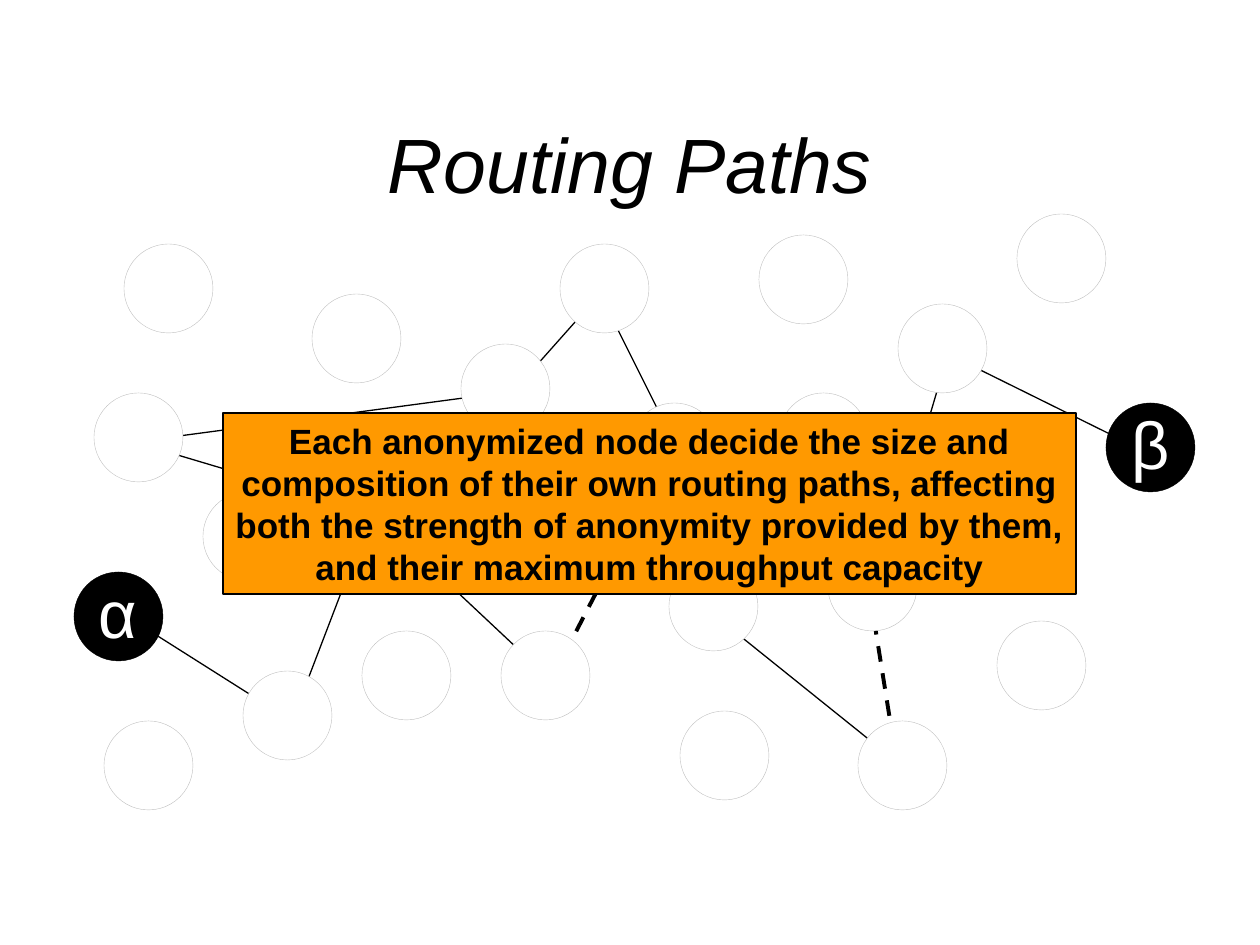
from itertools import pairwise
from lxml.etree import SubElement
from pptx import Presentation
from pptx.dml.color import RGBColor
from pptx.enum.dml import MSO_LINE
from pptx.enum.shapes import MSO_CONNECTOR as CONNECTOR, MSO_SHAPE as SHAPE
from pptx.enum.text import MSO_ANCHOR as ANCHOR, PP_ALIGN as ALIGN
from pptx.oxml.ns import qn
from pptx.util import Emu, Pt

# Content, with places in px
TITLE = "Routing Paths"
MESSAGE = ("Each anonymized node decide the size and composition of their own "
           "routing paths, affecting both the strength of anonymity provided by "
           "them, and their maximum throughput capacity")
NODE_SIZE = 89
NODES = [(124, 244), (362, 631), (104, 721), (203, 492), (94, 393), (312, 294),
         (1017, 214), (779, 393), (759, 235), (560, 244), (461, 344), (680, 711),
         (858, 721), (669, 562), (997, 621), (898, 304), (828, 542), (630, 403),
         (501, 631), (243, 671)]
ENDPOINTS = [("β", 1106, 403, 25), ("α", 74, 572, 24)]  # symbol, left, top, indent
SOLID = {"width": Pt(0.75)}
DASHED = {"width": Pt(2.25), "dash_style": MSO_LINE.DASH}
ROUTES = [
    (DASHED, [(898, 770), (868, 582)]),
    (SOLID, [(372, 513), (134, 442), (501, 393)]),
    (SOLID, [(512, 393), (600, 294), (679, 452), (709, 611), (907, 770)]),
    (SOLID, [(134, 621), (292, 721), (372, 512), (551, 680)]),
    (SOLID, [(878, 591), (948, 354), (1126, 442)]),
    (DASHED, [(551, 680), (669, 452)]),
]
TITLE_FONT = {"size": Pt(44), "italic": True}
SYMBOL_FONT = {"size": Pt(38)}
MESSAGE_FONT = {"size": Pt(20), "bold": True}


def px(*lengths):
    return [Emu(round(length * 914400 / 126)) for length in lengths]


def rgb(value):
    return RGBColor.from_string(value)


def apply(target, values):
    for name, value in values.items():
        setattr(target, name, value)


def add_outlined(shapes, kind, box, fill, line, width):
    shape = shapes.add_shape(kind, *px(*box))
    shape.shadow.inherit = False
    shape.fill.solid()
    shape.fill.fore_color.rgb = rgb(fill)
    shape.line.color.rgb = rgb(line)
    shape.line.width = Pt(width)
    return shape


def write(shape, text, font, color="000000", align=ALIGN.CENTER,
          anchor=ANCHOR.MIDDLE, inset=(12, 6)):
    across, down = px(*inset)
    apply(shape.text_frame, {
        "word_wrap": True, "vertical_anchor": anchor,
        "margin_left": across, "margin_right": across,
        "margin_top": down, "margin_bottom": down})
    paragraph = shape.text_frame.paragraphs[0]
    paragraph.alignment = align
    run = paragraph.add_run()
    run.text = text
    apply(run.font, {"name": "Arial", **font})
    run.font.color.rgb = rgb(color)


def add_route(shapes, style, stops):
    for start, end in pairwise(stops):
        hop = shapes.add_connector(CONNECTOR.STRAIGHT, *px(*start, *end))
        hop.line.color.rgb = rgb("000000")
        apply(hop.line, style)
        SubElement(hop._element.spPr, qn("a:effectLst"))


def add_endpoint(shapes, symbol, left, top, indent):
    group = shapes.add_group_shape().shapes
    add_outlined(group, SHAPE.OVAL, (left, top, NODE_SIZE, NODE_SIZE),
                 "000000", "000000", 0.23)
    label = group.add_textbox(*px(left + indent, top, 59, 79))
    write(label, symbol, SYMBOL_FONT, "FFFFFF", ALIGN.LEFT, ANCHOR.TOP, (0, 0))


def main():
    deck = Presentation()
    deck.slide_width, deck.slide_height = px(1260, 945)
    shapes = deck.slides.add_slide(deck.slide_layouts[6]).shapes

    # Routes run behind the nodes
    for style, stops in ROUTES:
        add_route(shapes, style, stops)

    write(shapes.add_textbox(*px(0, 84, 1260, 158)), TITLE, TITLE_FONT)

    # Network nodes and the two endpoints
    for left, top in NODES:
        add_outlined(shapes, SHAPE.OVAL, (left, top, NODE_SIZE, NODE_SIZE),
                     "FFFFFF", "C0C0C0", 0.23)
    for endpoint in ENDPOINTS:
        add_endpoint(shapes, *endpoint)

    # Message across the network
    banner = add_outlined(shapes, SHAPE.RECTANGLE, (223, 413, 853, 181),
                          "FF9900", "000000", 0.75)
    write(banner, MESSAGE, MESSAGE_FONT)

    deck.save("out.pptx")


if __name__ == "__main__":
    main()
